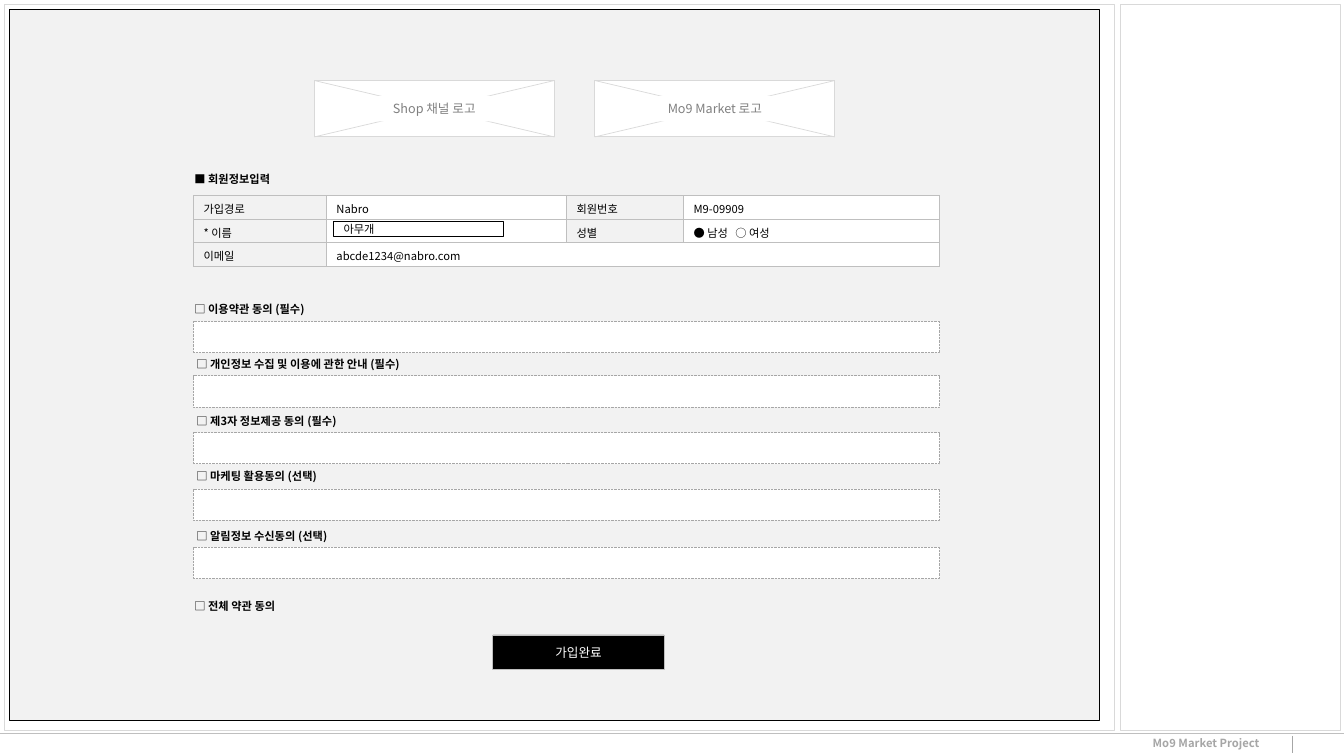
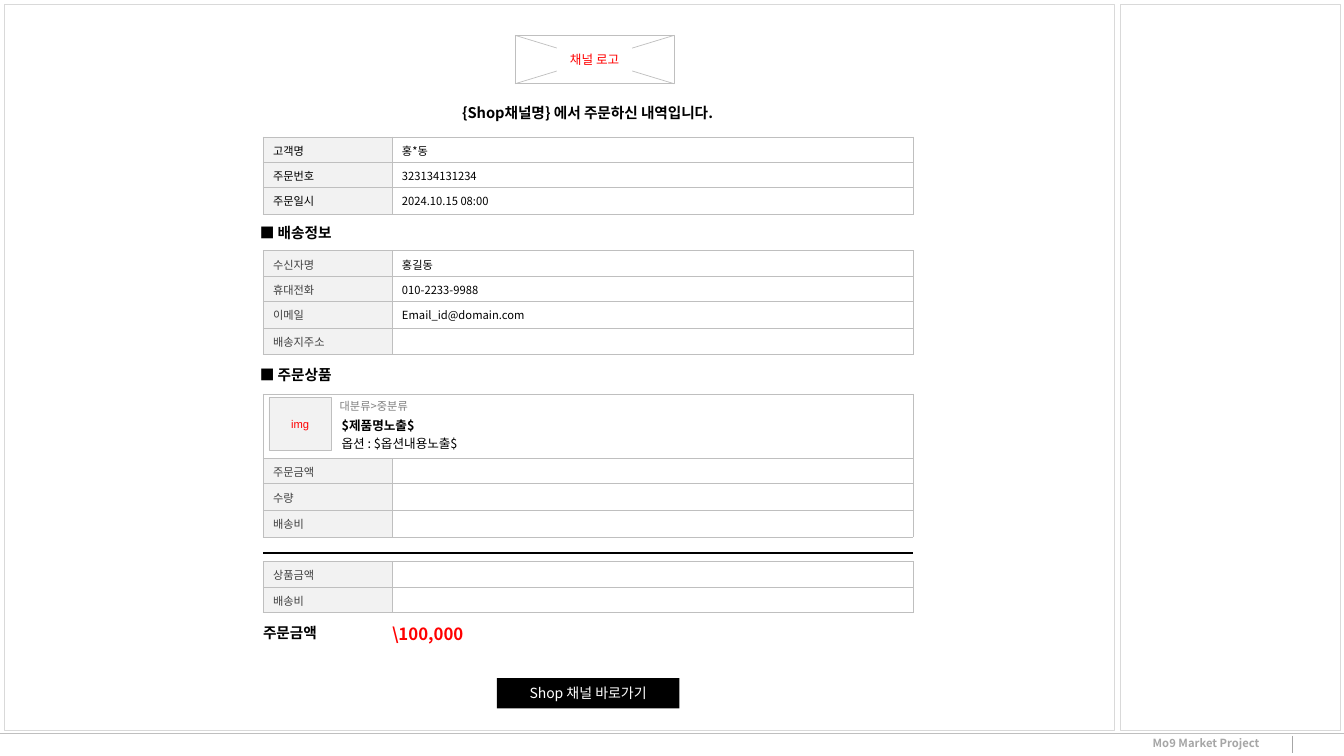
from lxml.etree import SubElement
from pptx import Presentation
from pptx.dml.color import RGBColor
from pptx.enum.dml import MSO_LINE_DASH_STYLE as Dash
from pptx.enum.shapes import MSO_CONNECTOR as Connector, MSO_SHAPE as Shape
from pptx.enum.text import MSO_ANCHOR as Anchor, MSO_AUTO_SIZE as AutoSize, PP_ALIGN as Align
from pptx.oxml.ns import qn
from pptx.util import Cm, Pt

FONT = "Noto Sans CJK KR"
BLACK, WHITE, RED = "000000", "FFFFFF", "FF0000"
PANEL, FRAME, BORDER = "F2F2F2", "D9D9D9", "BFBFBF"
DOTTED, MUTED, CAPTION, LABEL = "A6A6A6", "A6A6A6", "808080", "404040"

FORM_LEFT, FORM_WIDTH = 4.88, 18.8
TERMS = [
    ("이용약관 동의 (필수)", 4.65, 7.49, 3.58, 8.1),
    ("개인정보 수집 및 이용에 관한 안내 (필수)", 4.7, 8.89, 6.27, 9.47),
    ("제3자 정보제공 동의 (필수)", 4.7, 10.31, 4.42, 10.9),
    ("마케팅 활용동의 (선택)", 4.7, 11.71, 3.89, 12.32),
    ("알림정보 수신동의 (선택)", 4.7, 13.21, 4.17, 13.79),
]

ORDER_LEFT, ORDER_COLUMNS = 6.63, (3.25, 13.13)
ROW, TALL_ROW = 0.64, 0.67


def rgb(color):
    """Turn a hex string into a colour."""
    return RGBColor.from_string(color)


def write(frame, text, size, color, bold=False, align=Align.LEFT, font=FONT, mark=""):
    """Write one paragraph, with an optional regular-weight mark in front."""
    paragraph = frame.paragraphs[0]
    paragraph.alignment = align
    for chunk, heavy in ((mark, False), (text, bold)):
        if chunk:
            run = paragraph.add_run()
            run.text = chunk
            run.font.size, run.font.bold, run.font.name = Pt(size), heavy, font
            run.font.color.rgb = rgb(color)
            SubElement(run.font._element, qn("a:ea"), typeface=font)


def rect(shapes, left, top, width, height, fill=None, line=None, weight=0.5, dash=None):
    """Draw a rectangle with an optional fill and outline."""
    box = shapes.add_shape(Shape.RECTANGLE, Cm(left), Cm(top), Cm(width), Cm(height))
    box.shadow.inherit = False
    if fill:
        box.fill.solid()
        box.fill.fore_color.rgb = rgb(fill)
    else:
        box.fill.background()
    if line:
        box.line.color.rgb = rgb(line)
        box.line.width = Pt(weight)
        box.line.dash_style = dash
    else:
        box.line.fill.background()
    box.text_frame.vertical_anchor = Anchor.MIDDLE
    return box


def line(shapes, x1, y1, x2, y2, color, weight):
    """Draw a straight line without a shadow."""
    stroke = shapes.add_connector(Connector.STRAIGHT, Cm(x1), Cm(y1), Cm(x2), Cm(y2))
    stroke.line.color.rgb = rgb(color)
    stroke.line.width = Pt(weight)
    SubElement(stroke._element.spPr, qn("a:effectLst"))


def label(slide, text, left, top, width, height=0.61, size=8, color=BLACK, **style):
    """Place a single-line text box."""
    frame = slide.shapes.add_textbox(Cm(left), Cm(top), Cm(width), Cm(height)).text_frame
    frame.word_wrap = False
    frame.auto_size = AutoSize.SHAPE_TO_FIT_TEXT
    write(frame, text, size, color, **style)


def button(slide, text, left, top, width, height, size, outline=None):
    """Place a black button with white text."""
    box = rect(slide.shapes, left, top, width, height, BLACK, outline)
    write(box.text_frame, text, size, WHITE, align=Align.CENTER)


def logo_slot(slide, text, left, top, width, height, caption_width, outline, color):
    """Place a crossed placeholder with a centred caption."""
    shapes = slide.shapes.add_group_shape().shapes
    right, bottom, caption_height = left + width, top + height, 0.64
    rect(shapes, left, top, width, height, WHITE, outline)
    line(shapes, left, bottom, right, top, outline, 0.5)
    line(shapes, right, bottom, left, top, outline, 0.5)
    caption = rect(shapes, left + (width - caption_width) / 2,
                   top + (height - caption_height) / 2,
                   caption_width, caption_height, WHITE)
    caption.text_frame.word_wrap = False
    write(caption.text_frame, text, 9, color, align=Align.CENTER)


def style_cell(cell, text, fill, color):
    """Give a table cell its borders, fill, margins and text."""
    properties = cell._tc.get_or_add_tcPr()
    for side in ("a:lnL", "a:lnR", "a:lnT", "a:lnB"):
        border = SubElement(properties, qn(side), w=str(Pt(0.5)))
        SubElement(SubElement(border, qn("a:solidFill")), qn("a:srgbClr"), val=BORDER)
    cell.fill.solid()
    cell.fill.fore_color.rgb = rgb(fill)
    cell.margin_left = cell.margin_right = Cm(0.25)
    cell.margin_top, cell.margin_bottom = Cm(0.13), Cm(0.03)
    paragraph = cell.text_frame.paragraphs[0]
    if "\t" in text:
        tabs = SubElement(paragraph._p.get_or_add_pPr(), qn("a:tabLst"))
        SubElement(tabs, qn("a:tab"), pos=str(Cm(1.05)), algn="l")
    write(cell.text_frame, text, 8, color)
    SubElement(paragraph._p, qn("a:endParaRPr"), sz="800")


def info_table(slide, left, top, columns, heights, rows, label_color=BLACK, merge=None):
    """Place a table of shaded labels and white values in alternating columns."""
    table = slide.shapes.add_table(len(rows), len(columns), Cm(left), Cm(top),
                                   Cm(sum(columns)), Cm(sum(heights))).table
    table.first_row = table.horz_banding = False
    for column, width in zip(table.columns, columns):
        column.width = Cm(width)
    for r, (height, texts) in enumerate(zip(heights, rows)):
        table.rows[r].height = Cm(height)
        for c, text in enumerate(texts):
            is_label = c % 2 == 0 and text
            style_cell(table.cell(r, c), text, PANEL if is_label else WHITE,
                       label_color if is_label else BLACK)
    if merge:
        start, end = merge
        table.cell(*start).merge(table.cell(*end))


def order_table(slide, top, heights, rows, label_color=LABEL, merge=None):
    """Place one of the two-column order tables."""
    info_table(slide, ORDER_LEFT, top, ORDER_COLUMNS, heights, rows, label_color, merge)


def new_page(deck):
    """Add a slide with the shared panels and footer."""
    slide = deck.slides.add_slide(deck.slide_layouts[6])
    line(slide.shapes, 0, 18.47, 33.87, 18.47, BORDER, 0.25)
    label(slide, "Mo9 Market Project", 28.8, 18.44, 3.56, color=MUTED, bold=True)
    line(slide.shapes, 32.56, 18.54, 32.56, 18.97, MUTED, 0.25)
    for left, width in ((28.24, 5.54), (0.1, 27.99)):
        rect(slide.shapes, left, 0.1, width, 18.29, line=FRAME, weight=0.25)
    return slide


def build_signup(deck):
    """Build the member sign-up screen."""
    slide = new_page(deck)
    rect(slide.shapes, 0.23, 0.23, 27.48, 17.93, PANEL, BLACK, 0.25)
    label(slide, "■ 회원정보입력", 4.65, 4.22, 2.62, bold=True)
    info_table(slide, FORM_LEFT, 4.93, (3.35, 6.05, 2.95, 6.45), (0.59,) * 3, [
        ("가입경로", "Nabro", "회원번호", "M9-09909"),
        ("* 이름", "", "성별", "● 남성\t○ 여성"),
        ("이메일", "abcde1234@nabro.com", "", ""),
    ], merge=((2, 1), (2, 3)))
    for text, left, top, width, box_top in TERMS:
        rect(slide.shapes, FORM_LEFT, box_top, FORM_WIDTH, 0.79, WHITE, DOTTED,
             dash=Dash.ROUND_DOT)
        label(slide, text, left, top, width, bold=True, mark="□ ")
    label(slide, "전체 약관 동의", 4.65, 14.99, 2.82, bold=True, mark="□ ")
    button(slide, "가입완료", 12.42, 16, 4.32, 0.86, 9, BORDER)
    name_field = rect(slide.shapes, 8.41, 5.59, 4.27, 0.38, line=BLACK)
    write(name_field.text_frame, "아무개", 8, BLACK)
    for text, left, caption_width in (("Shop 채널 로고", 7.92, 2.87),
                                      ("Mo9 Market 로고", 14.99, 3.35)):
        logo_slot(slide, text, left, 2.03, 6.05, 1.42, caption_width, FRAME, CAPTION)


def build_order(deck):
    """Build the order summary screen."""
    slide = new_page(deck)
    logo_slot(slide, "채널 로고", 12.98, 0.89, 4.01, 1.22, 1.9, BORDER, RED)
    label(slide, "{Shop채널명} 에서 주문하신 내역입니다.", 11.1, 2.49, 7.42, 0.71, 10.5,
          bold=True, align=Align.CENTER)
    order_table(slide, 3.45, (ROW, ROW, TALL_ROW), [
        ("고객명", "홍*동"),
        ("주문번호", "323134131234"),
        ("주문일시", "2024.10.15 08:00"),
    ], BLACK)
    order_table(slide, 6.32, (ROW, ROW, TALL_ROW, TALL_ROW), [
        ("수신자명", "홍길동"),
        ("휴대전화", "010-2233-9988"),
        ("이메일", "Email_id@domain.com"),
        ("배송지주소", ""),
    ])
    order_table(slide, 9.93, (1.62, ROW, TALL_ROW, TALL_ROW), [
        ("", ""), ("주문금액", ""), ("수량", ""), ("배송비", ""),
    ], merge=((0, 0), (0, 1)))
    order_table(slide, 14.15, (ROW, ROW), [("상품금액", ""), ("배송비", "")])
    for heading, top in (("■ 배송정보", 5.51), ("■ 주문상품", 9.09)):
        label(slide, heading, 6.3, top, 2.51, 0.71, 10.5, bold=True)
    thumbnail = rect(slide.shapes, 6.78, 10.01, 1.57, 1.35, PANEL, BORDER)
    write(thumbnail.text_frame, "img", 8, RED, align=Align.CENTER, font="Arial")
    label(slide, "대분류>중분류", 8.31, 9.93, 2.44, color=CAPTION)
    label(slide, "$제품명노출$", 8.36, 10.41, 2.49, 0.64, 9, bold=True)
    label(slide, "옵션 : $옵션내용노출$", 8.36, 10.87, 3.73, 0.64, 9)
    line(slide.shapes, ORDER_LEFT, 13.94, ORDER_LEFT + sum(ORDER_COLUMNS), 13.94, BLACK, 1.5)
    label(slide, "주문금액", 6.38, 15.6, 1.92, 0.71, 10.5, bold=True)
    label(slide, "\\100,000", 9.63, 15.6, 2.44, 0.76, 12, RED, bold=True)
    button(slide, "Shop 채널 바로가기", 12.52, 17.09, 4.6, 0.76, 10)


def main():
    """Build and save the deck."""
    deck = Presentation()
    deck.slide_width, deck.slide_height = Cm(33.87), Cm(19.05)
    build_signup(deck)
    build_order(deck)
    deck.save("out.pptx")


if __name__ == "__main__":
    main()
